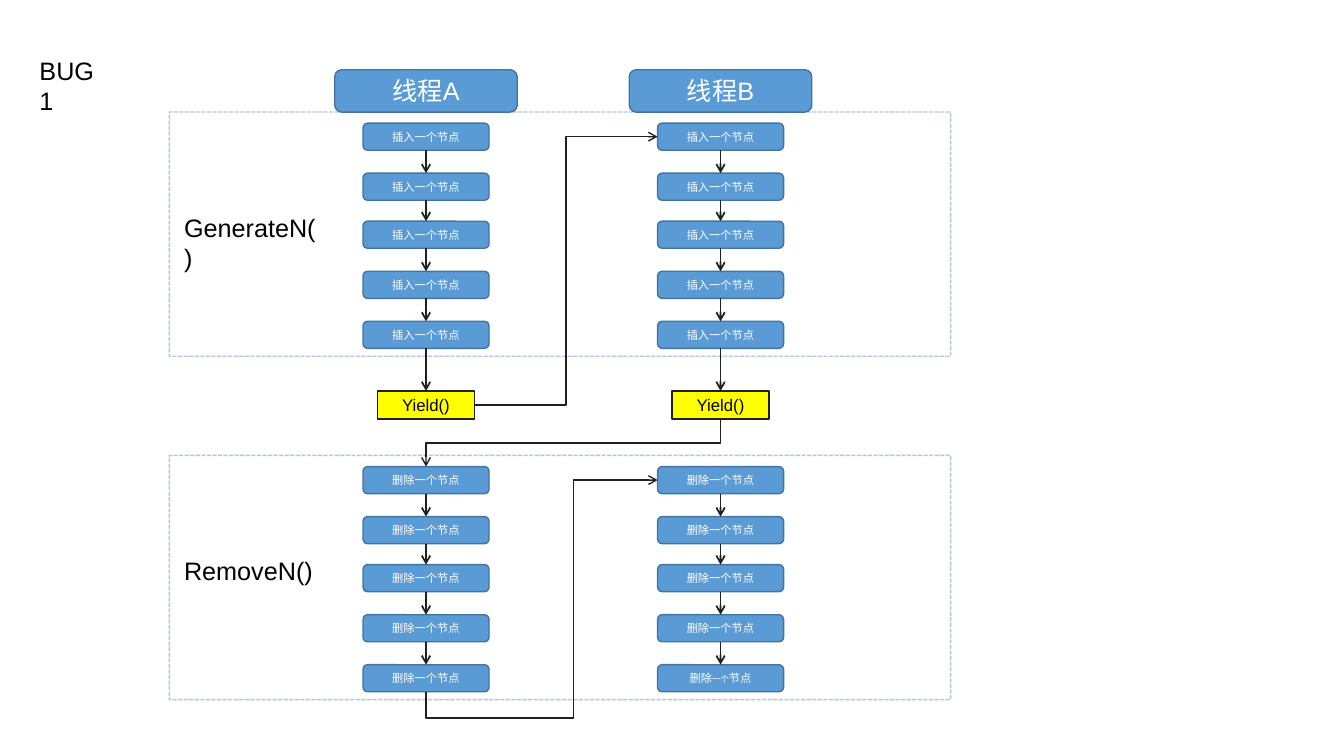
from lxml import etree
from pptx import Presentation
from pptx.dml.color import RGBColor
from pptx.enum.dml import MSO_LINE
from pptx.enum.shapes import MSO_CONNECTOR, MSO_SHAPE
from pptx.enum.text import MSO_ANCHOR, PP_ALIGN
from pptx.oxml.ns import qn
from pptx.util import Pt

STRAIGHT, ELBOW = MSO_CONNECTOR.STRAIGHT, MSO_CONNECTOR.ELBOW
RECTANGLE, ROUNDED = MSO_SHAPE.RECTANGLE, MSO_SHAPE.ROUNDED_RECTANGLE
HEADER = MSO_SHAPE.FLOWCHART_ALTERNATE_PROCESS
SYSTEM_DASH = MSO_LINE.SQUARE_DOT
LEFT, CENTER = PP_ALIGN.LEFT, PP_ALIGN.CENTER
TOP, MIDDLE = MSO_ANCHOR.TOP, MSO_ANCHOR.MIDDLE

FONT = "Arial"
BLUE, EDGE, YELLOW = "5B9BD5", "43739E", "FFFF00"
DARK, BLACK, WHITE = "202020", "000000", "FFFFFF"

# Lengths in points
THREAD_CENTERS = {"A": 304.3, "B": 514.7}
STEP_OFFSETS = [0, 35.7, 70, 105.8, 141.5]
STEP_WIDTH, STEP_HEIGHT = 90, 19.3
GENERATE_TOP, REMOVE_TOP = 80, 325.3
YIELD_TOP, YIELD_WIDTH, YIELD_HEIGHT = 279.2, 69.4, 20.2
BOTTOM_SITE, TOP_SITE = 2, 0


def color(hex_string):
    return RGBColor.from_string(hex_string)


def write(text_frame, runs, size, text_color, alignment):
    """Fill a frame with one paragraph; runs is a list of (text, size or None)."""
    paragraph = text_frame.paragraphs[0]
    paragraph.alignment = alignment
    paragraph.font.name = FONT
    paragraph.font.size = Pt(size)
    paragraph.font.color.rgb = color(text_color)
    for text, run_size in runs:
        run = paragraph.add_run()
        run.text = text
        if run_size:
            run.font.size = Pt(run_size)


def add_box(slide, preset, center, top, width, height, fill=None, edge=EDGE):
    shape = slide.shapes.add_shape(
        preset, Pt(center - width / 2), Pt(top), Pt(width), Pt(height))
    shape.shadow.inherit = False
    if fill:
        shape.fill.solid()
        shape.fill.fore_color.rgb = color(fill)
    else:
        shape.fill.background()
    shape.line.color.rgb = color(edge)
    shape.line.width = Pt(1)
    return shape


def add_labelled_box(slide, preset, center, top, width, height, runs, size,
                     fill=BLUE, edge=EDGE, text_color=WHITE):
    shape = add_box(slide, preset, center, top, width, height, fill, edge)
    shape.text_frame.vertical_anchor = MIDDLE
    write(shape.text_frame, runs, size, text_color, CENTER)
    return shape


def add_stage(slide, top, label):
    """Dashed frame with the name of the called function."""
    frame = add_box(slide, RECTANGLE, 400, top, 558, 174.5)
    frame.line.dash_style = SYSTEM_DASH
    line_color = frame.line._get_or_add_ln().find(".//" + qn("a:srgbClr"))
    etree.SubElement(line_color, qn("a:alpha"), val="40000")
    box = slide.shapes.add_textbox(Pt(124.4), Pt(top + 68), Pt(114), Pt(29))
    write(box.text_frame, [(label, None)], 18, BLACK, LEFT)


def style_arrow(connector, width):
    connector.line.color.rgb = color(DARK)
    connector.line.width = Pt(width)
    etree.SubElement(connector.line._get_or_add_ln(), qn("a:tailEnd"), type="arrow")
    etree.SubElement(connector._element.spPr, qn("a:effectLst"))


def link_down(slide, upper, lower):
    connector = slide.shapes.add_connector(STRAIGHT, 0, 0, 0, 0)
    connector.begin_connect(upper, BOTTOM_SITE)
    connector.end_connect(lower, TOP_SITE)
    style_arrow(connector, 1.25)


def add_elbow(slide, begin, end, starts_down=False, adjustments=()):
    """Bent arrow; one that leaves downwards is stored turned by 90 degrees."""
    if starts_down:
        middle_x, middle_y = (begin[0] + end[0]) / 2, (begin[1] + end[1]) / 2
        begin, end = [(middle_x + y - middle_y, middle_y - x + middle_x)
                      for x, y in (begin, end)]
    connector = slide.shapes.add_connector(
        ELBOW, *[Pt(value) for value in (*begin, *end)])
    properties = connector._element.spPr
    if starts_down:
        properties.find(qn("a:xfrm")).set("rot", str(90 * 60000))
    if adjustments:
        geometry = properties.find(qn("a:prstGeom"))
        geometry.set("prst", f"bentConnector{len(adjustments) + 2}")
        guides = geometry.find(qn("a:avLst"))
        for number, value in enumerate(adjustments, 1):
            etree.SubElement(guides, qn("a:gd"), name=f"adj{number}",
                             fmla=f"val {round(value * 100000)}")
    style_arrow(connector, 1)


def add_steps(slide, center, top, labels):
    """Column of linked steps; returns the last one."""
    previous = None
    for offset, runs in zip(STEP_OFFSETS, labels):
        step = add_labelled_box(slide, ROUNDED, center, top + offset,
                                STEP_WIDTH, STEP_HEIGHT, runs, 8)
        if previous:
            link_down(slide, previous, step)
        previous = step
    return previous


def add_thread(slide, name, center, remove_labels):
    add_labelled_box(slide, HEADER, center, 49.8, 130.4, 30.3,
                     [("线程" + name, None)], 18)
    last_insert = add_steps(slide, center, GENERATE_TOP + 8,
                            [[("插入一个节点", None)]] * 5)
    yield_box = add_labelled_box(
        slide, RECTANGLE, center, YIELD_TOP, YIELD_WIDTH, YIELD_HEIGHT,
        [("Yield()", None)], 12, YELLOW, DARK, BLACK)
    link_down(slide, last_insert, yield_box)
    add_steps(slide, center, REMOVE_TOP + 8, remove_labels)


def add_title(slide, text):
    title = slide.shapes.title
    title.left, title.top, title.width, title.height = Pt(21), Pt(36), Pt(68.4), Pt(29)
    title.text_frame.word_wrap = False
    title.text_frame.vertical_anchor = TOP
    write(title.text_frame, [(text, None)], 18, BLACK, LEFT)


def main():
    presentation = Presentation()
    presentation.slide_width, presentation.slide_height = Pt(960), Pt(540)
    slide = presentation.slides.add_slide(presentation.slide_layouts[5])
    add_title(slide, "BUG 1")

    # Stages and threads
    add_stage(slide, GENERATE_TOP, "GenerateN()")
    add_stage(slide, REMOVE_TOP, "RemoveN()")
    remove = [("删除一个节点", None)]
    mixed_sizes = [("删除", None), ("一个", 6), ("节点", None)]
    center_a, center_b = THREAD_CENTERS.values()
    add_thread(slide, "A", center_a, [remove] * 5)
    add_thread(slide, "B", center_b, [remove] * 4 + [mixed_sizes])

    # Switches between the threads
    left_b = center_b - STEP_WIDTH / 2
    first_insert = GENERATE_TOP + 8 + STEP_HEIGHT / 2
    first_remove = REMOVE_TOP + 8
    last_bottom = first_remove + STEP_OFFSETS[-1] + STEP_HEIGHT
    add_elbow(slide, (center_a + YIELD_WIDTH / 2, YIELD_TOP + YIELD_HEIGHT / 2),
              (left_b, first_insert))
    add_elbow(slide, (center_b, YIELD_TOP + YIELD_HEIGHT),
              (center_a, first_remove), starts_down=True)
    add_elbow(slide, (center_a, last_bottom),
              (left_b, first_remove + STEP_HEIGHT / 2),
              starts_down=True, adjustments=(-0.124, 0.636))

    presentation.save("out.pptx")


main()
